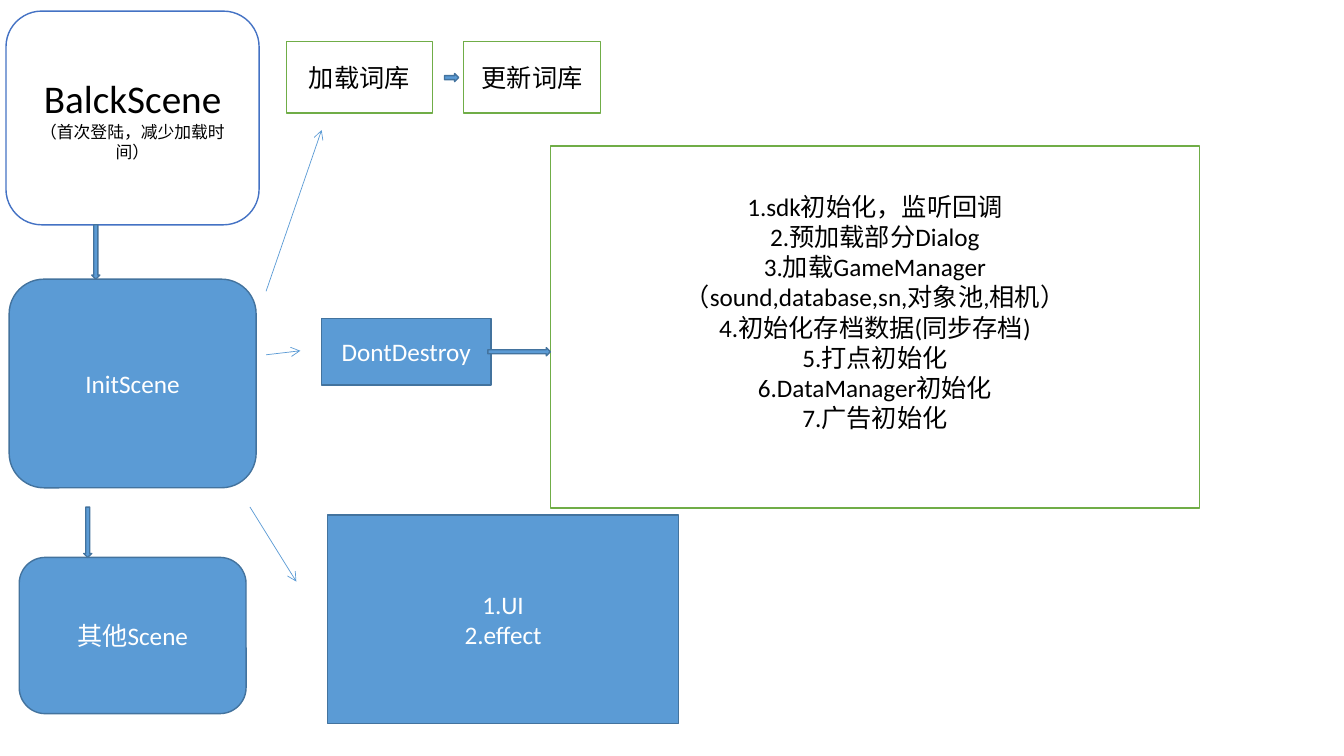
from pptx import Presentation
from pptx.dml.color import RGBColor
from pptx.enum.shapes import MSO_CONNECTOR, MSO_SHAPE
from pptx.enum.text import MSO_ANCHOR, PP_ALIGN
from pptx.oxml.ns import qn
from pptx.util import Inches, Pt
from lxml.etree import SubElement

COLORS = {
    "white": "FFFFFF", "black": "000000", "blue": "5B9BD5",
    "edge": "43739E", "royal": "4472C4", "green": "70AD47",
}
# Box styles: fill, outline, text
STYLES = {
    "solid": ("blue", "edge", "white"),
    "start": ("white", "royal", "black"),
    "task": ("white", "green", "black"),
}


def color(name):
    return RGBColor.from_string(COLORS[name])


def assign(target, values):
    for name, value in values.items():
        setattr(target, name, value)


class FlowPage:
    """Draws on one slide; lengths are percentages of its width and height."""

    font = "Calibri"

    def __init__(self, deck):
        self.deck = deck
        self.page = deck.slides.add_slide(deck.slide_layouts[6])

    def scale(self, x, y):
        return (round(self.deck.slide_width * x / 100),
                round(self.deck.slide_height * y / 100))

    def shape(self, kind, area, style="solid"):
        left, top, width, height = area
        fill, edge, _ = STYLES[style]
        shape = self.page.shapes.add_shape(
            kind, *self.scale(left, top), *self.scale(width, height))
        shape.shadow.inherit = False
        shape.fill.solid()
        shape.fill.fore_color.rgb = color(fill)
        shape.line.color.rgb = color(edge)
        shape.line.width = Pt(1)
        return shape

    def box(self, area, lines, style="solid", kind=MSO_SHAPE.RECTANGLE, sizes=(18,)):
        """Add a box with centred lines; the last size serves all further lines."""
        box = self.shape(kind, area, style)
        frame = box.text_frame
        assign(frame, {"word_wrap": True, "vertical_anchor": MSO_ANCHOR.MIDDLE})
        for index, line in enumerate(lines):
            para = frame.add_paragraph() if index else frame.paragraphs[0]
            para.alignment = PP_ALIGN.CENTER
            span = para.add_run()
            span.text = line
            size = sizes[min(index, len(sizes) - 1)]
            assign(span.font, {"name": self.font, "size": Pt(size)})
            span.font.color.rgb = color(STYLES[style][2])
        return box

    def scene(self, area, lines, **options):
        return self.box(area, lines, kind=MSO_SHAPE.ROUNDED_RECTANGLE, **options)

    def branch(self, start, end):
        line = self.page.shapes.add_connector(
            MSO_CONNECTOR.STRAIGHT, *self.scale(*start), *self.scale(*end))
        line.line.color.rgb = color("blue")
        line.line.width = Pt(0.5)
        properties = line._element.spPr
        SubElement(properties.find(qn("a:ln")), qn("a:tailEnd"), type="arrow")
        SubElement(properties, qn("a:effectLst"))


deck = Presentation()
assign(deck, {"slide_width": Inches(13.33), "slide_height": Inches(7.5)})
flow = FlowPage(deck)

# Scenes, top to bottom
flow.scene((0.45, 1.47, 18.83, 28.27), ["BalckScene", "（首次登陆，减少加载时间）"],
           style="start", sizes=(28, 12))
flow.scene((0.68, 36.93, 18.38, 27.6), ["InitScene"])
flow.scene((1.43, 73.73, 16.88, 20.67), ["其他Scene"])

# Word library tasks
flow.box((21.3, 5.47, 10.88, 9.47), ["加载词库"], style="task")
flow.box((34.5, 5.47, 10.2, 9.47), ["更新词库"], style="task")

# Persistent objects and their set-up steps
flow.box((23.93, 42.13, 12.6, 8.8), ["DontDestroy"])
steps = flow.box((40.95, 19.33, 48.3, 47.87), [
    "1.sdk初始化，监听回调",
    "2.预加载部分Dialog",
    "3.加载GameManager",
    "（sound,database,sn,对象池,相机）",
    "4.初始化存档数据(同步存档)",
    "5.打点初始化",
    "6.DataManager初始化",
    "7.广告初始化",
], style="task")
steps.text_frame.margin_bottom = Inches(0.35)

# Scene content
flow.box((24.38, 68.13, 26.1, 27.6), ["1.UI", "2.effect"])

# Block arrows
for kind, area in (
    (MSO_SHAPE.DOWN_ARROW, (6.83, 29.73, 0.6, 7.2)),
    (MSO_SHAPE.DOWN_ARROW, (6.23, 67.07, 0.6, 6.67)),
    (MSO_SHAPE.RIGHT_ARROW, (33.08, 9.73, 1.05, 1.07)),
    (MSO_SHAPE.RIGHT_ARROW, (36.3, 46, 4.65, 1.07)),
):
    flow.shape(kind, area)

# Branches from InitScene
for start, end in (
    ((19.8, 38.53), (23.93, 17.2)),
    ((19.8, 46.93), (22.35, 46.4)),
    ((18.6, 67.07), (22.05, 76.93)),
):
    flow.branch(start, end)

deck.save("out.pptx")
